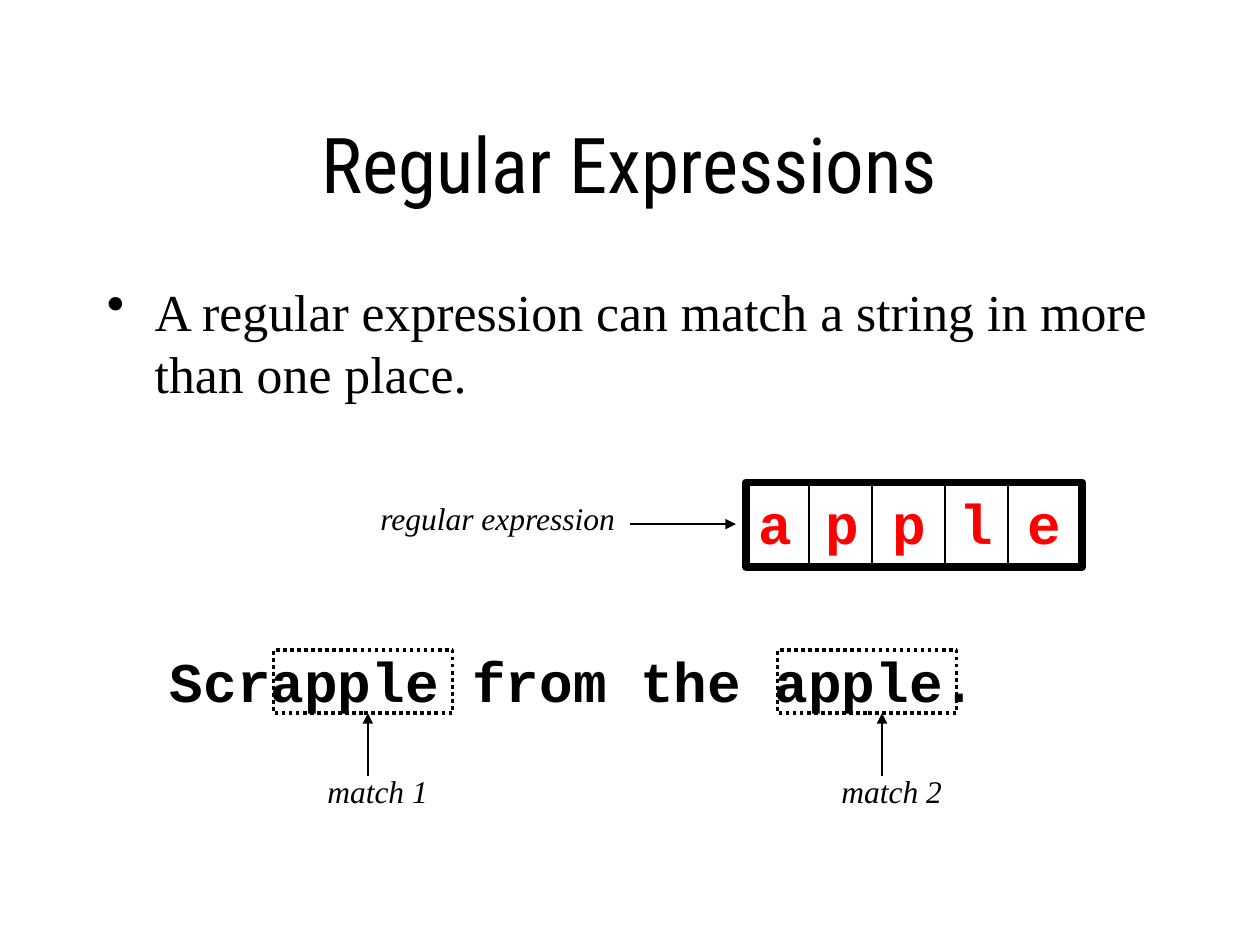
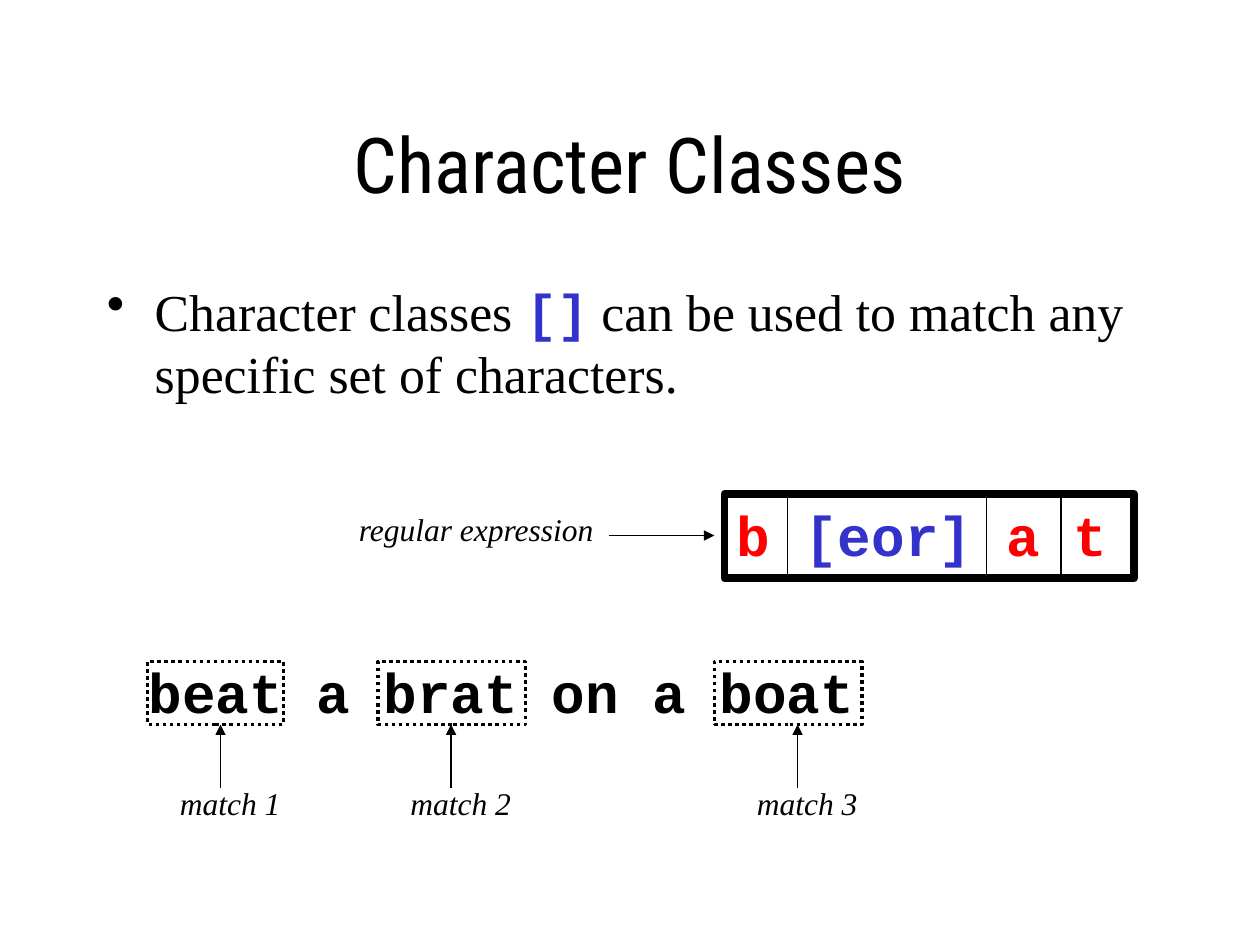
from lxml import etree
from pptx import Presentation
from pptx.dml.color import RGBColor
from pptx.enum.dml import MSO_LINE
from pptx.enum.shapes import MSO_CONNECTOR, MSO_SHAPE
from pptx.enum.text import MSO_ANCHOR, PP_ALIGN
from pptx.oxml.ns import qn
from pptx.util import Inches, Pt

RECTANGLE = MSO_SHAPE.RECTANGLE
STRAIGHT = MSO_CONNECTOR.STRAIGHT
DOTTED = MSO_LINE.ROUND_DOT
TOP, MIDDLE = MSO_ANCHOR.TOP, MSO_ANCHOR.MIDDLE
LEFT, CENTER = PP_ALIGN.LEFT, PP_ALIGN.CENTER

COLORS = {"black": "000000", "literal": "FF0000", "class": "3333CC"}
HEADING, SERIF, MONO = "Roboto Condensed", "Times New Roman", "Courier New"

# Matches are (box left, box width, arrow x); dividers are x positions.
SLIDES = [
    {
        "title": "Regular Expressions",
        "bullet": [("A regular expression can match a string in more than one place.", {})],
        "frame": (5.92, 3.83, 2.67),
        "pattern": [("a p p l e", {})],
        "dividers": [6.42, 6.92, 7.5, 8],
        "sentence": (1.25, "Scrapple from the apple."),
        "matches": [(2.17, 1.42, 2.92), (6.17, 1.42, 7)],
    },
    {
        "title": "Character Classes",
        "bullet": [
            ("Character classes ", {}),
            ("[]", {"font": MONO, "color": "class", "bold": True}),
            (" can be used to match any specific set of characters.", {}),
        ],
        "frame": (5.75, 3.92, 3.25),
        "pattern": [("b ", {}), ("[eor]", {"color": "class"}), (" a t", {})],
        "dividers": [6.25, 7.83, 8.42],
        "sentence": (1.08, "beat a brat on a boat"),
        "matches": [(1.17, 1.08, 1.75), (3, 1.17, 3.58), (5.67, 1.17, 6.33)],
    },
]


def write(shape, text, left, top, width, height, font=SERIF, size=18, color="black",
          bold=False, italic=False, align=LEFT, anchor=TOP, wrap=True, bullet=False):
    """Place a shape and fill it with a string or a list of (text, run format) pairs."""
    shape.left, shape.top = Inches(left), Inches(top)
    shape.width, shape.height = Inches(width), Inches(height)
    frame = shape.text_frame
    frame.word_wrap = wrap
    frame.vertical_anchor = anchor
    paragraph = frame.paragraphs[0]
    paragraph.alignment = align
    if bullet:
        properties = paragraph._p.get_or_add_pPr()
        properties.set("marL", str(Inches(0.38)))
        properties.set("indent", str(Inches(-0.38)))
        etree.SubElement(properties, qn("a:buChar")).set("char", "•")
    for run_text, run_format in [(text, {})] if isinstance(text, str) else text:
        run = paragraph.add_run()
        run.text = run_text
        run.font.name = run_format.get("font", font)
        run.font.size = Pt(size)
        run.font.bold = run_format.get("bold", bold)
        run.font.italic = italic
        run.font.color.rgb = RGBColor.from_string(COLORS[run_format.get("color", color)])


def add_line(slide, x1, y1, x2, y2, arrow=False):
    line = slide.shapes.add_connector(STRAIGHT, Inches(x1), Inches(y1), Inches(x2), Inches(y2))
    line.line.width = Pt(0.75)
    line.line.color.rgb = RGBColor.from_string(COLORS["black"])
    if arrow:
        etree.SubElement(line.line._get_or_add_ln(), qn("a:tailEnd")).set("type", "triangle")
    etree.SubElement(line._element.spPr, qn("a:effectLst"))


presentation = Presentation()
presentation.slide_width, presentation.slide_height = Inches(10), Inches(7.5)
title_only = presentation.slide_layouts[5]

for content in SLIDES:
    slide = presentation.slides.add_slide(title_only)
    shapes = slide.shapes
    left, top, width = content["frame"]
    sentence_left, sentence = content["sentence"]
    match_top = top + 1.33

    write(shapes.title, content["title"], 0.75, 0.67, 8.5, 1.25,
          font=HEADING, size=44, align=CENTER, anchor=MIDDLE)
    write(shapes.add_textbox(0, 0, 0, 0), content["bullet"], 0.75, 2.17, 8.5, 1.17,
          size=29.6, bullet=True)
    write(shapes.add_textbox(0, 0, 0, 0), "regular expression", left - 3, top + 0.08, 2.08, 0.4,
          italic=True, wrap=False)
    add_line(slide, left - 0.92, top + 0.33, left - 0.08, top + 0.33, arrow=True)
    write(shapes.add_textbox(0, 0, 0, 0), sentence, sentence_left, top + 1.25, 6.75, 0.64,
          font=MONO, size=32, bold=True)

    boxes = [(left, top, width, 0.67, 4.5, None)]
    boxes += [(x, match_top, box_width, 0.5, 2, DOTTED) for x, box_width, _ in content["matches"]]
    for x, y, box_width, box_height, weight, dash in boxes:
        box = shapes.add_shape(RECTANGLE, Inches(x), Inches(y), Inches(box_width), Inches(box_height))
        box.shadow.inherit = False
        box.fill.background()
        box.line.color.rgb = RGBColor.from_string(COLORS["black"])
        box.line.width = Pt(weight)
        box.line.dash_style = dash

    write(shapes.add_textbox(0, 0, 0, 0), content["pattern"], left, top, width, 0.64,
          font=MONO, size=32, color="literal", bold=True)
    for x in content["dividers"]:
        add_line(slide, x, top, x, top + 0.67)

    for number, (_, _, arrow_x) in enumerate(content["matches"], start=1):
        add_line(slide, arrow_x, match_top + 1, arrow_x, match_top + 0.5, arrow=True)
        write(shapes.add_textbox(0, 0, 0, 0), f"match {number}", arrow_x - 0.42, top + 2.25, 1, 0.4,
              italic=True, wrap=False)

presentation.save("out.pptx")
